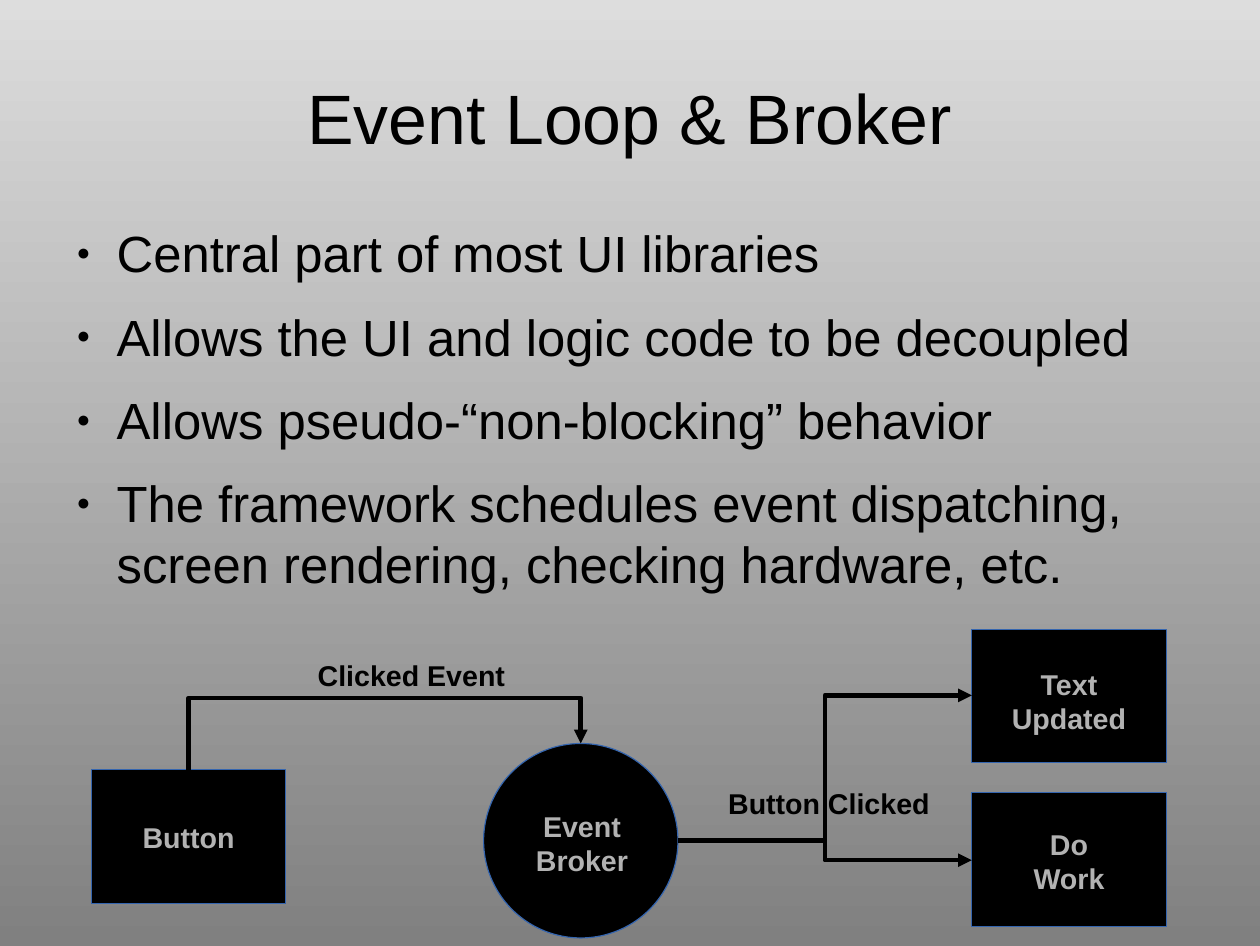
from dataclasses import dataclass

from lxml import etree
from pptx import Presentation, util as u
from pptx.dml.color import RGBColor
from pptx.enum import shapes, text
from pptx.oxml.ns import qn

COLORS = {
    "ink": "000000",
    "node_text": "B2B2B2",
    "outline": "3465AF",
    "top": "DDDDDD",
    "bottom": "808080",
}
FONT = "Arial"
BULLETS = [
    "Central part of most UI libraries",
    "Allows the UI and logic code to be decoupled",
    "Allows pseudo-“non-blocking” behavior",
    "The framework schedules event dispatching, screen rendering, checking hardware, etc.",
]


@dataclass
class Node:
    left: float
    top: float
    height: float = 1.17
    kind: shapes.MSO_SHAPE = shapes.MSO_SHAPE.RECTANGLE
    label: str = ""


@dataclass
class Label:
    lines: list[str]
    left: float
    top: float
    width: float
    height: float = 0.38
    color: str = "ink"
    wrap: bool = False


@dataclass
class Arrow:
    begin: tuple[float, float]
    end: tuple[float, float]
    bend: float = 0.5
    rotation: int = 0


NODE_WIDTH = 1.7
NODES = [
    Node(0.8, 6.73, label="Button"),
    Node(4.23, 6.5, NODE_WIDTH, shapes.MSO_SHAPE.OVAL),
    Node(8.5, 5.5),
    Node(8.5, 6.93),
]
BROKER_EXIT = (5.93, 7.35)
ARROWS = [
    # Begin and end are given before the quarter turn about the centre
    Arrow((3.48, 8.33), (3.25, 4.9), 2.73, 90),
    Arrow(BROKER_EXIT, (8.5, 6.08)),
    Arrow(BROKER_EXIT, (8.5, 7.52)),
]
LABELS = [
    Label(["Clicked Event"], 2.68, 5.7, 1.88),
    Label(["Button Clicked"], 6.27, 6.82, 2.02),
    Label(["Event", "Broker"], 4.53, 7.02, 1.12, 0.66, "node_text", True),
    Label(["Text Updated"], 8.7, 5.78, 1.3, 0.66, "node_text", True),
    Label(["Do", "Work"], 8.7, 7.18, 1.3, 0.66, "node_text", True),
]


def rgb(name: str) -> RGBColor:
    return RGBColor.from_string(COLORS[name])


def write(frame, lines: list[str], size: int, color: str, align, bold: bool = False) -> None:
    for index, line in enumerate(lines):
        paragraph = frame.add_paragraph() if index else frame.paragraphs[0]
        paragraph.text = line
        paragraph.alignment = align
        font = paragraph.font
        font.name, font.size, font.bold = FONT, u.Pt(size), bold
        font.color.rgb = rgb(color)


def clear_margins(frame) -> None:
    frame.margin_left = frame.margin_right = frame.margin_top = frame.margin_bottom = 0


def paint_background(slide) -> None:
    fill = slide.background.fill
    fill.gradient()
    fill.gradient_angle = 270
    for stop, position, name in zip(fill.gradient_stops, (0, 1), ("top", "bottom")):
        stop.position = position
        stop.color.rgb = rgb(name)


def add_title(slide) -> None:
    title = slide.shapes.title
    title.left, title.top = u.Inches(0.55), u.Inches(0.33)
    title.width, title.height = u.Inches(9.92), u.Inches(1.38)
    frame = title.text_frame
    clear_margins(frame)
    frame.vertical_anchor = text.MSO_ANCHOR.MIDDLE
    write(frame, ["Event Loop & Broker"], 44, "ink", text.PP_ALIGN.CENTER)


def add_bullets(slide) -> None:
    box = slide.shapes.add_textbox(
        u.Inches(0.55), u.Inches(1.94), u.Inches(9.92), u.Inches(4.8))
    frame = box.text_frame
    frame.word_wrap = True
    clear_margins(frame)
    write(frame, BULLETS, 32, "ink", text.PP_ALIGN.LEFT)
    for paragraph in frame.paragraphs:
        paragraph.space_after = u.Pt(14.1)
        properties = paragraph._p.get_or_add_pPr()
        properties.set("marL", str(u.Inches(0.47)))
        properties.set("indent", str(u.Inches(-0.35)))
        size = etree.Element(qn("a:buSzPct"), val="45000")
        typeface = etree.Element(qn("a:buFont"), typeface=FONT)
        bullet = etree.Element(qn("a:buChar"), char="●")
        properties.find(qn("a:spcAft")).addnext(size)
        size.addnext(typeface)
        typeface.addnext(bullet)


def add_node(slide, node: Node) -> None:
    shape = slide.shapes.add_shape(
        node.kind, u.Inches(node.left), u.Inches(node.top),
        u.Inches(NODE_WIDTH), u.Inches(node.height))
    shape.shadow.inherit = False
    shape.fill.solid()
    shape.fill.fore_color.rgb = rgb("ink")
    shape.line.color.rgb = rgb("outline")
    shape.line.width = 0
    if node.label:
        frame = shape.text_frame
        frame.word_wrap = False
        frame.vertical_anchor = text.MSO_ANCHOR.MIDDLE
        write(frame, [node.label], 18, "node_text", text.PP_ALIGN.CENTER, True)


def add_label(slide, label: Label) -> None:
    box = slide.shapes.add_textbox(
        u.Inches(label.left), u.Inches(label.top),
        u.Inches(label.width), u.Inches(label.height))
    frame = box.text_frame
    frame.word_wrap = label.wrap
    frame.auto_size = text.MSO_AUTO_SIZE.SHAPE_TO_FIT_TEXT
    align = text.PP_ALIGN.CENTER if label.wrap else text.PP_ALIGN.LEFT
    write(frame, label.lines, 18, label.color, align, True)


def add_arrow(slide, arrow: Arrow) -> None:
    points = [u.Inches(value) for value in (*arrow.begin, *arrow.end)]
    connector = slide.shapes.add_connector(shapes.MSO_CONNECTOR.ELBOW, *points)
    connector.line.color.rgb = rgb("ink")
    connector.line.width = u.Pt(2.89)
    properties = connector._element.spPr
    if arrow.rotation:
        properties.find(qn("a:xfrm")).set("rot", str(arrow.rotation * 60000))
    geometry = properties.find(qn("a:prstGeom"))
    adjustments = geometry.find(qn("a:avLst"))
    if adjustments is None:
        adjustments = etree.SubElement(geometry, qn("a:avLst"))
    etree.SubElement(adjustments, qn("a:gd"), name="adj1",
                     fmla=f"val {round(arrow.bend * 100000)}")
    etree.SubElement(properties.find(qn("a:ln")), qn("a:tailEnd"), type="triangle")
    etree.SubElement(properties, qn("a:effectLst"))


def main() -> None:
    presentation = Presentation()
    presentation.slide_width = u.Inches(11.02)
    presentation.slide_height = u.Inches(8.27)
    slide = presentation.slides.add_slide(presentation.slide_layouts[5])
    paint_background(slide)
    add_title(slide)
    add_bullets(slide)
    for node in NODES:
        add_node(slide, node)
    for arrow in ARROWS:
        add_arrow(slide, arrow)
    for label in LABELS:
        add_label(slide, label)
    presentation.save("out.pptx")


if __name__ == "__main__":
    main()
